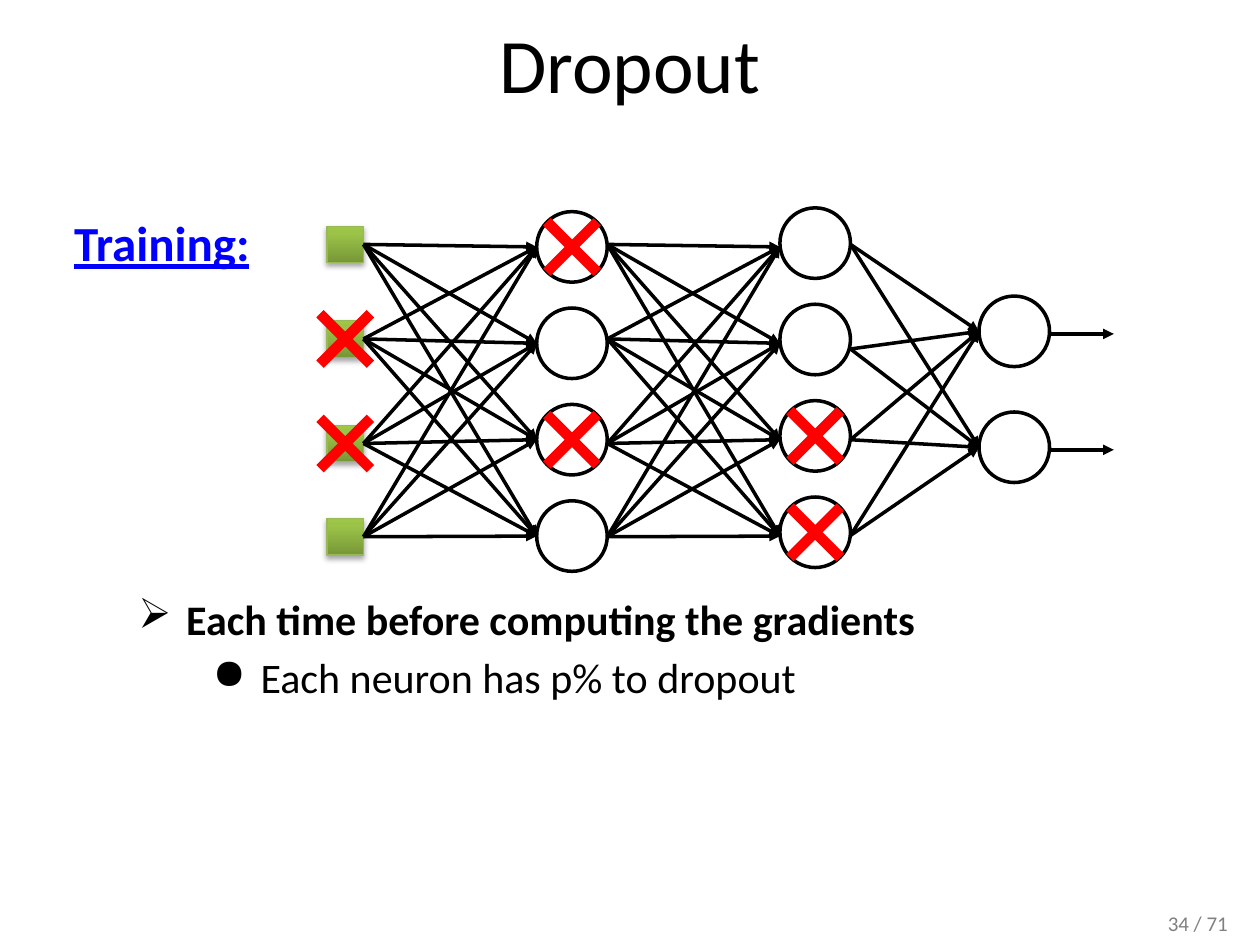
from itertools import product
from lxml.etree import SubElement
from pptx import Presentation
from pptx.dml.color import RGBColor
from pptx.enum.shapes import MSO_CONNECTOR as Connector, MSO_SHAPE as Preset
from pptx.enum.text import MSO_ANCHOR as Anchor, PP_ALIGN as Align
from pptx.oxml import parse_xml
from pptx.oxml.ns import nsdecls, qn
from pptx.util import Inches, Pt

THEME = {
    "font": "Calibri", "ink": "000000", "heading": "0000FF", "muted": "808080",
    "cross": "FF0000", "input_edge": "98B955",
    "input_stops": [(0, "779737"), (80, "9BC348"), (100, "9DC746")],
    "title_pt": 44, "heading_pt": 28, "body_pt": 24, "page_pt": 12,
    "edge_pt": 2, "cross_pt": 6, "input_edge_pt": 0.75,
}

TEXTS = [
    ("34 / 71", (9.17, 7.18, 0.83, 0.3), dict(size="page_pt", color="muted")),
    ("Dropout", (0, 0, 10, 0.99),
     dict(size="title_pt", align=Align.CENTER, anchor=Anchor.MIDDLE)),
    ("Training:", (0.49, 1.64, 2.54, 0.57),
     dict(size="heading_pt", color="heading", bold=True, underline=True)),
    ("Each time before computing the gradients", (1, 4.66, 6.9, 0.5),
     dict(bold=True, bullet="➢")),
    ("Each neuron has p% to dropout", (1.59, 5.12, 7.03, 0.5), dict(bullet="●")),
]

INPUT_SIZE, NEURON_SIZE, CROSS_SIZE = 0.29, 0.56, 0.4
OUTPUT_ARROW = 0.51
PITCH = 0.765


def column(first, count, pitch=PITCH):
    return [first + row * pitch for row in range(count)]


# Node centres run down each layer; "dropped" holds the rows crossed out.
INPUT_ROWS = [1.94, 2.69, 3.52, 4.26]
LAYERS = [
    dict(x=2.74, rows=INPUT_ROWS, size=INPUT_SIZE, dropped=[1, 2]),
    dict(x=4.54, rows=column(1.96, 4), size=NEURON_SIZE, dropped=[0, 2]),
    dict(x=6.47, rows=column(1.93, 4), size=NEURON_SIZE, dropped=[2, 3]),
    dict(x=8.05, rows=column(2.63, 2, 0.92), size=NEURON_SIZE, dropped=[]),
]
# Heights where the edges leave one layer and enter the next.
EDGE_ENDS = [
    (INPUT_ROWS, column(1.96, 4)),
    (INPUT_ROWS, column(1.96, 4)),
    ([1.94, 2.77, 3.49, 4.25], column(2.63, 2, 0.92)),
]


def rgb(key):
    return RGBColor.from_string(THEME[key])


def add_text(slide, text, box, size="body_pt", color="ink", bold=False,
             underline=False, align=Align.LEFT, anchor=Anchor.TOP, bullet=None):
    frame = slide.shapes.add_textbox(*map(Inches, box)).text_frame
    frame.word_wrap = True
    frame.vertical_anchor = anchor
    paragraph = frame.paragraphs[0]
    paragraph.alignment = align
    if bullet:
        properties = paragraph._p.get_or_add_pPr()
        properties.set("marL", str(Inches(0.38)))
        properties.set("indent", str(-Inches(0.38)))
        SubElement(properties, qn("a:buChar")).set("char", bullet)
    run = paragraph.add_run()
    run.text = text
    font = run.font
    font.name, font.size = THEME["font"], Pt(THEME[size])
    font.bold, font.underline = bold, underline
    font.color.rgb = rgb(color)


def add_line(slide, start, end, color="ink", width="edge_pt", arrow=True):
    line = slide.shapes.add_connector(
        Connector.STRAIGHT, *map(Inches, (*start, *end)))
    line.line.color.rgb = rgb(color)
    line.line.width = Pt(THEME[width])
    if arrow:
        SubElement(line.line._get_or_add_ln(), qn("a:tailEnd")).set("type", "triangle")
    SubElement(line._element.spPr, qn("a:effectLst"))


def add_node(slide, x, y, size, preset, edge, width):
    node = slide.shapes.add_shape(
        preset, *map(Inches, (x - size / 2, y - size / 2, size, size)))
    node.line.color.rgb = rgb(edge)
    node.line.width = Pt(THEME[width])
    node.shadow.inherit = False
    return node


def add_input(slide, x, y, size):
    """Green square with a vertical gradient and a soft shadow below."""
    properties = add_node(slide, x, y, size, Preset.RECTANGLE,
                          "input_edge", "input_edge_pt")._element.spPr
    stops = "".join(
        f'<a:gs pos="{share * 1000}"><a:srgbClr val="{color}"/></a:gs>'
        for share, color in THEME["input_stops"])
    gradient = parse_xml(
        f'<a:gradFill {nsdecls("a")} rotWithShape="1"><a:gsLst>{stops}</a:gsLst>'
        '<a:lin ang="16200000" scaled="0"/></a:gradFill>')
    properties.find(qn("a:prstGeom")).addnext(gradient)
    properties.find(qn("a:effectLst")).append(parse_xml(
        f'<a:outerShdw {nsdecls("a")} blurRad="{Pt(3.1)}" dist="{Pt(1.8)}" '
        'dir="5400000" rotWithShape="0"><a:srgbClr val="000000">'
        '<a:alpha val="35000"/></a:srgbClr></a:outerShdw>'))


def add_neuron(slide, x, y, size):
    add_node(slide, x, y, size, Preset.OVAL, "ink", "edge_pt").fill.background()


def add_cross(slide, x, y):
    half = CROSS_SIZE / 2
    for side in (-half, half):
        add_line(slide, (x + side, y - half), (x - side, y + half),
                 color="cross", width="cross_pt", arrow=False)


def add_network(slide):
    for index, layer in enumerate(LAYERS):
        add_layer_node = add_neuron if index else add_input
        for y in layer["rows"]:
            add_layer_node(slide, layer["x"], y, layer["size"])
    for source, target, (leave, enter) in zip(LAYERS, LAYERS[1:], EDGE_ENDS):
        right = source["x"] + source["size"] / 2
        left = target["x"] - target["size"] / 2
        for start, end in product(leave, enter):
            add_line(slide, (right, start), (left, end))
    outputs = LAYERS[-1]
    right = outputs["x"] + outputs["size"] / 2
    for y in outputs["rows"]:
        add_line(slide, (right, y + 0.02), (right + OUTPUT_ARROW, y + 0.02))
    for layer in LAYERS:
        for row in layer["dropped"]:
            add_cross(slide, layer["x"], layer["rows"][row])


def main():
    deck = Presentation()
    deck.slide_width, deck.slide_height = Inches(10), Inches(7.5)
    slide = deck.slides.add_slide(deck.slide_layouts[6])
    add_network(slide)
    for text, box, style in TEXTS:
        add_text(slide, text, box, **style)
    deck.save("out.pptx")


if __name__ == "__main__":
    main()
